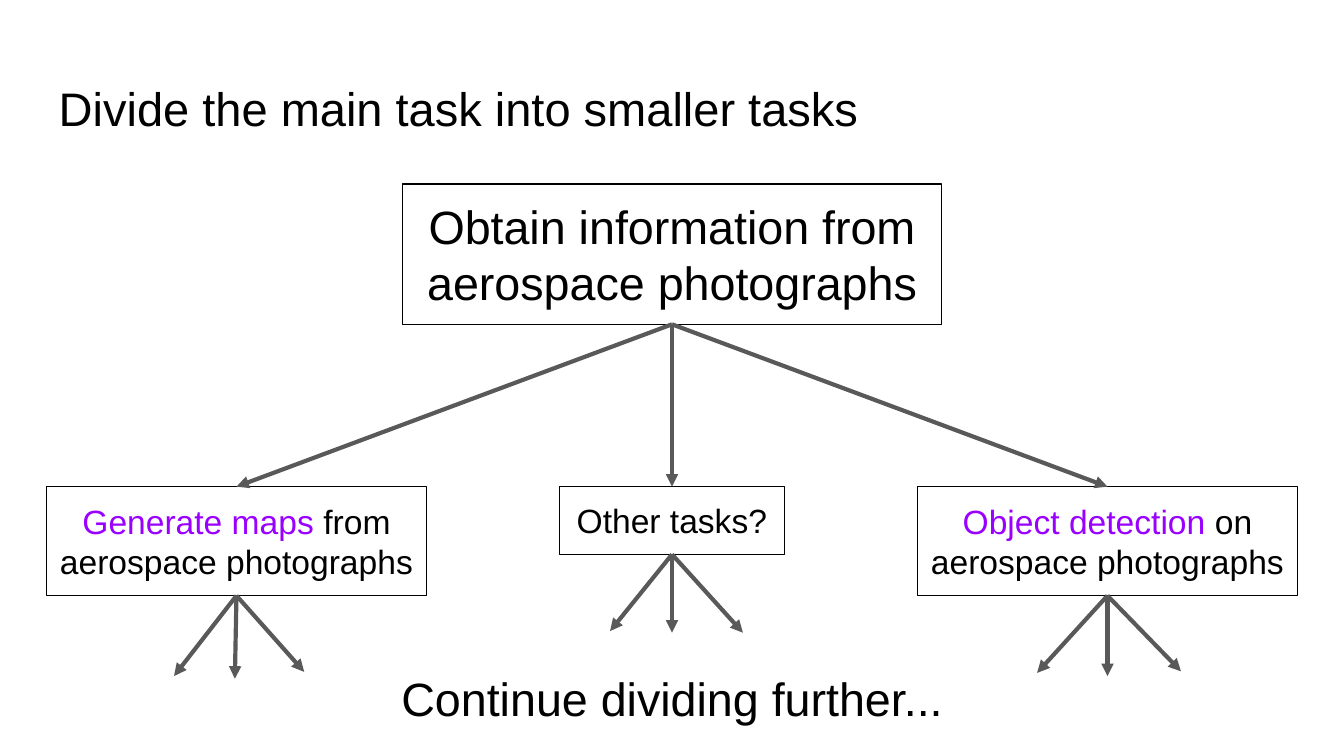
import pptx
import pptx.dml.color
import pptx.enum.shapes
import pptx.enum.text
import pptx.util
from dataclasses import dataclass
from lxml import etree

Cm, Pt = pptx.util.Cm, pptx.util.Pt
MIDDLE = pptx.enum.text.MSO_ANCHOR.MIDDLE
LEFT = pptx.enum.text.PP_ALIGN.LEFT
CENTER = pptx.enum.text.PP_ALIGN.CENTER
BOTTOM_SITE, TOP_SITE = 2, 0


@dataclass(frozen=True)
class Theme:
    font: str = "Arial"
    text: str = "000000"
    accent: str = "9900FF"
    arrow: str = "595959"
    title_size: float = 25.2
    main_size: float = 25
    task_size: float = 18
    box_line: float = 0.75
    arrow_line: float = 2.25


THEME = Theme()


def rgb(value):
    return pptx.dml.color.RGBColor.from_string(value)


def write(sp, paragraphs, size, align=CENTER):
    """Fill a shape with paragraphs, each a list of (text, colour) runs."""
    tf = sp.text_frame
    tf.word_wrap = True
    tf.vertical_anchor = MIDDLE
    tf.margin_left = tf.margin_right = Cm(0.25)
    tf.margin_top = tf.margin_bottom = Cm(0.25)
    for i, runs in enumerate(paragraphs):
        p = tf.paragraphs[0] if i == 0 else tf.add_paragraph()
        p.alignment = align
        for text, color in runs:
            r = p.add_run()
            r.text = text
            r.font.name = THEME.font
            r.font.size = Pt(size)
            r.font.color.rgb = rgb(color)


def add_label(s, left, top, width, height, text, size, align):
    sp = s.shapes.add_textbox(Cm(left), Cm(top), Cm(width), Cm(height))
    write(sp, [[(text, THEME.text)]], size, align)


def add_box(s, center, top, width, height, paragraphs, size):
    sp = s.shapes.add_shape(
        pptx.enum.shapes.MSO_SHAPE.RECTANGLE,
        Cm(center - width / 2), Cm(top), Cm(width), Cm(height))
    sp.shadow.inherit = False
    sp.fill.background()
    sp.line.color.rgb = rgb(THEME.text)
    sp.line.width = Pt(THEME.box_line)
    write(sp, paragraphs, size)
    return sp


def add_arrow(s, box, end_x, end_y):
    """Draw an arrow from the bottom centre of a box to a point."""
    cxn = s.shapes.add_connector(
        pptx.enum.shapes.MSO_CONNECTOR.STRAIGHT, 0, 0, end_x, end_y)
    cxn.begin_connect(box, BOTTOM_SITE)
    cxn.line.color.rgb = rgb(THEME.arrow)
    cxn.line.width = Pt(THEME.arrow_line)
    ns = pptx.oxml.ns.qn
    etree.SubElement(cxn.line._get_or_add_ln(), ns("a:tailEnd"), type="triangle")
    etree.SubElement(cxn._element.spPr, ns("a:effectLst"))
    return cxn


def add_fan(s, box, tips):
    """Draw short arrows from a box to tips given as offsets in cm."""
    x, y = box.left + box.width // 2, box.top + box.height
    for dx, dy in tips:
        add_arrow(s, box, x + Cm(dx), y + Cm(dy))


def main():
    prs = pptx.Presentation()
    prs.slide_width, prs.slide_height = Cm(25.4), Cm(14.29)
    s = prs.slides.add_slide(prs.slide_layouts[6])
    middle, spread, task_top = 12.7, 8.23, 9.2

    # Title
    add_label(s, 0.86, 1.24, 23.67, 1.6,
              "Divide the main task into smaller tasks", THEME.title_size, LEFT)

    # Main task
    main_box = add_box(s, middle, 3.48, 10.18, 2.65,
                       [[("Obtain information from", THEME.text)],
                        [("aerospace photographs", THEME.text)]],
                       THEME.main_size)

    # Smaller tasks: column, width, height, runs, arrow tips
    tasks = [
        (-1, 7.19, 2.06,
         [("Generate maps", THEME.accent),
          (" from aerospace photographs", THEME.text)],
         [(-1.18, 1.52), (-0.03, 1.57), (1.28, 1.44)]),
        (0, 4.26, 1.28,
         [("Other tasks?", THEME.text)],
         [(-1.17, 1.45), (0, 1.48), (1.34, 1.48)]),
        (1, 7.19, 2.06,
         [("Object detection", THEME.accent),
          (" on aerospace photographs", THEME.text)],
         [(-1.33, 1.46), (0, 1.52), (1.39, 1.43)]),
    ]
    for column, width, height, runs, tips in tasks:
        box = add_box(s, middle + column * spread, task_top, width, height,
                      [runs], THEME.task_size)
        add_arrow(s, main_box, 0, 0).end_connect(box, TOP_SITE)
        add_fan(s, box, tips)

    # Closing line
    add_label(s, 5.66, 12.4, 14.08, 1.58,
              "Continue dividing further...", THEME.main_size, CENTER)

    prs.save("out.pptx")


if __name__ == "__main__":
    main()
